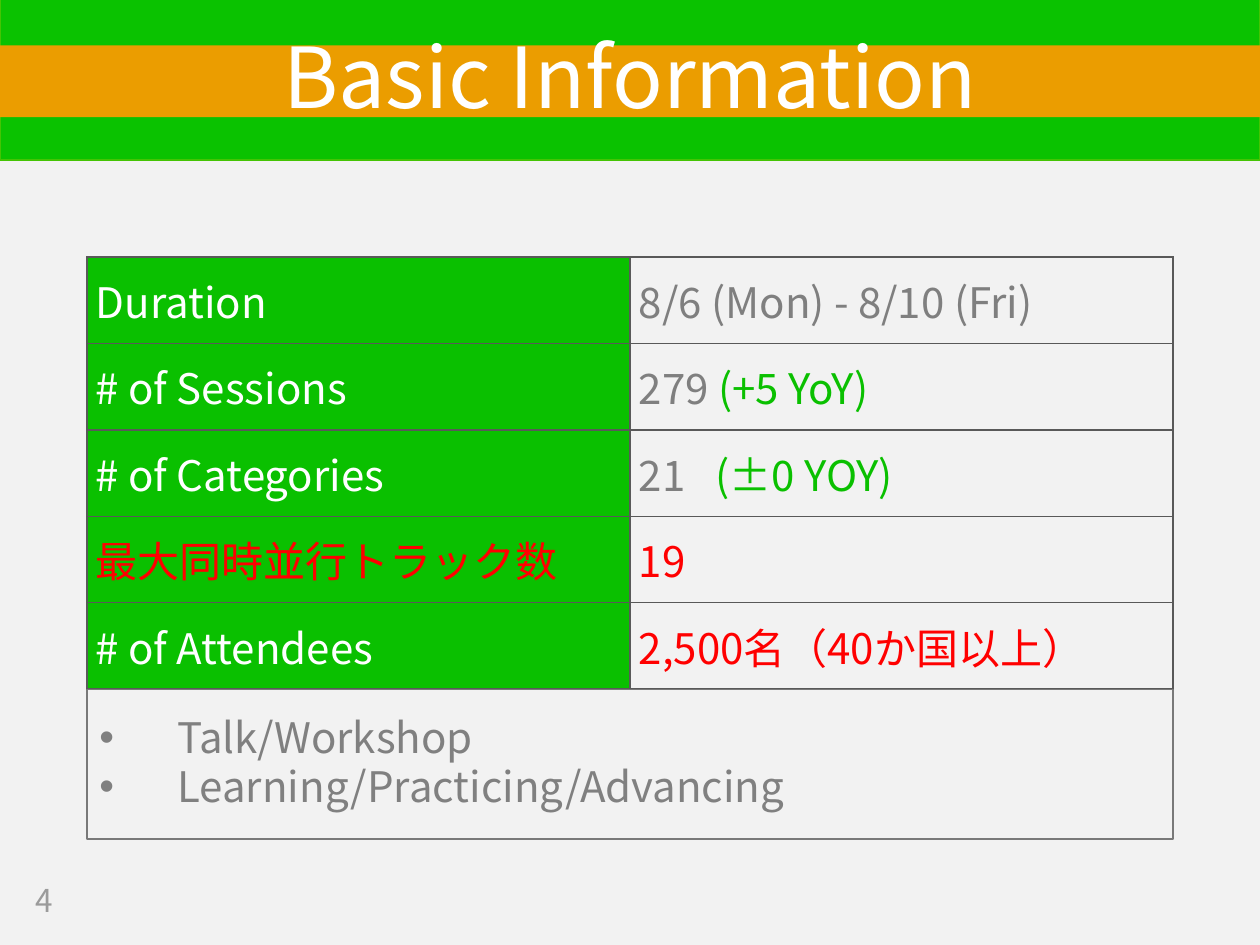
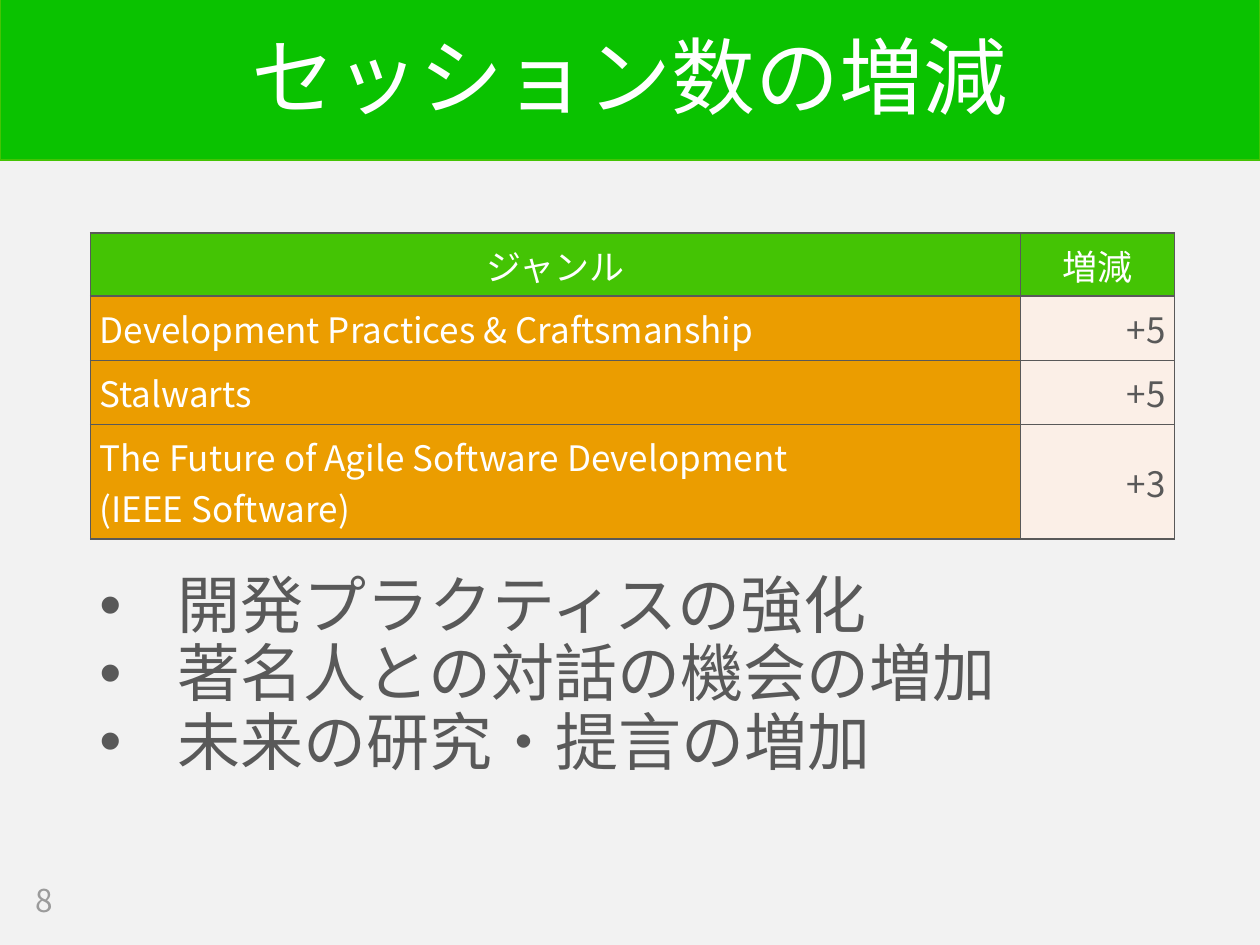
from lxml import etree
from pptx import Presentation
from pptx.dml.color import RGBColor
from pptx.enum.shapes import MSO_SHAPE
from pptx.enum.text import MSO_ANCHOR, PP_ALIGN
from pptx.oxml.ns import qn
from pptx.util import Inches, Pt

RECTANGLE = MSO_SHAPE.RECTANGLE
MIDDLE = MSO_ANCHOR.MIDDLE
LEFT, CENTER, RIGHT = PP_ALIGN.LEFT, PP_ALIGN.CENTER, PP_ALIGN.RIGHT

FONT = "Noto Sans CJK JP"
BACKGROUND = "F2F2F2"
BAND_GREEN, LIGHT_GREEN, CELL_GREEN = "0AC200", "44C404", "0AC000"
ORANGE, PEACH, RED, WHITE = "EB9D00", "FBEFE7", "FF0000", "FFFFFF"
DARK_GRAY, TEXT_GRAY, PAGE_GRAY = "595959", "7F7F7F", "9B9B9B"
BULLET_GRAY, FRAME_GRAY = "808080", "797979"

SLIDE_WIDTH, SLIDE_HEIGHT = 10, 7.5
BAND_BOX = (0, -0.01, SLIDE_WIDTH, 1.28)
TITLE_BOX = (0, 0.36, SLIDE_WIDTH, 0.57)
PAGE_BOX = (0.18, 6.95, 0.79, 0.39)
BULLET_INDENT = 0.62
CATEGORY_TAB = 0.61

# Label, label colour, runs of the value
FACTS = [
    ("Duration", WHITE, [("8/6 (Mon) - 8/10 (Fri)", TEXT_GRAY)]),
    ("# of Sessions", WHITE, [("279 ", TEXT_GRAY), ("(+5 YoY)", CELL_GREEN)]),
    ("# of Categories", WHITE, [("21\t", TEXT_GRAY), ("(±0 YOY)", CELL_GREEN)]),
    ("最大同時並行トラック数", RED, [("19", RED)]),
    ("# of Attendees", WHITE, [("2,500名（40か国以上）", RED)]),
]
SESSION_KINDS = ["Talk/Workshop", "Learning/Practicing/Advancing"]

GENRE_HEADER = ("ジャンル", "増減")
GENRE_CHANGES = [
    ("Development Practices & Craftsmanship", "+5"),
    ("Stalwarts", "+5"),
    ("The Future of Agile Software Development\n(IEEE Software)", "+3"),
]
FINDINGS = ["開発プラクティスの強化", "著名人との対話の機会の増加", "未来の研究・提言の増加"]


def color(hex_value):
    return RGBColor.from_string(hex_value)


def inches(box):
    return [Inches(length) for length in box]


def format_run(run, size, hex_value):
    run.font.size = Pt(size)
    run.font.name = FONT
    run.font.color.rgb = color(hex_value)
    east_asian = etree.SubElement(run.font._element, qn("a:ea"))
    east_asian.set("typeface", FONT)


def format_text(text_frame, size, hex_value, alignment=LEFT, line_spacing=1.0):
    for paragraph in text_frame.paragraphs:
        paragraph.alignment = alignment
        paragraph.line_spacing = line_spacing
        for run in paragraph.runs:
            format_run(run, size, hex_value)


def add_rectangle(slide, box, fill=None, line=None, line_width=1):
    shape = slide.shapes.add_shape(RECTANGLE, *inches(box))
    shape.shadow.inherit = False
    if fill:
        shape.fill.solid()
        shape.fill.fore_color.rgb = color(fill)
    else:
        shape.fill.background()
    if line:
        shape.line.color.rgb = color(line)
        shape.line.width = Pt(line_width)
    else:
        shape.line.fill.background()
    shape.text_frame.word_wrap = True
    shape.text_frame.vertical_anchor = MIDDLE
    return shape


def add_text(slide, box, text, size, hex_value, alignment=LEFT, line_spacing=1.0):
    text_frame = slide.shapes.add_textbox(*inches(box)).text_frame
    text_frame.word_wrap = True
    text_frame.vertical_anchor = MIDDLE
    text_frame.text = text
    format_text(text_frame, size, hex_value, alignment, line_spacing)


def add_bullets(slide, box, lines, size, hex_value, gap=0, frame=None):
    text_frame = add_rectangle(slide, box, line=frame, line_width=0.75).text_frame
    text_frame.text = "\n".join(lines)
    for index, paragraph in enumerate(text_frame.paragraphs):
        if index and gap:
            paragraph.space_before = Pt(gap)
        properties = paragraph._p.get_or_add_pPr()
        properties.set("marL", str(Inches(BULLET_INDENT)))
        properties.set("indent", str(-Inches(BULLET_INDENT)))
        etree.SubElement(properties, qn("a:buFont")).set("typeface", "Arial")
        etree.SubElement(properties, qn("a:buChar")).set("char", "•")
    format_text(text_frame, size, hex_value, line_spacing=0.9)


def start_slide(presentation, title, page, title_fill=None):
    """Add a slide with its background, band, title and page number."""
    slide = presentation.slides.add_slide(presentation.slide_layouts[6])
    slide.background.fill.solid()
    slide.background.fill.fore_color.rgb = color(BACKGROUND)
    add_rectangle(slide, BAND_BOX, BAND_GREEN, LIGHT_GREEN)
    if title_fill:
        add_rectangle(slide, TITLE_BOX, title_fill)
    add_text(slide, TITLE_BOX, title, 48, WHITE, CENTER, 0.9)
    add_text(slide, PAGE_BOX, page, 18, PAGE_GRAY)
    return slide


def add_grid(slide, left, top, column_widths, row_heights):
    """Add an unstyled table with the given column widths and row heights."""
    box = (left, top, sum(column_widths), sum(row_heights))
    table = slide.shapes.add_table(len(row_heights), len(column_widths), *inches(box)).table
    table.first_row = table.horz_banding = False
    for column, width in zip(table.columns, column_widths):
        column.width = Inches(width)
    for row, height in zip(table.rows, row_heights):
        row.height = Inches(height)
    return table


def fill_cell(cell, runs, size, fill=None, alignment=LEFT):
    """Write coloured runs into a cell; a newline starts a paragraph."""
    cell.vertical_anchor = MIDDLE
    cell.margin_left = cell.margin_right = Inches(0.07)
    cell.margin_top = cell.margin_bottom = Inches(0.05)
    paragraph = cell.text_frame.paragraphs[0]
    for text, hex_value in runs:
        for index, line in enumerate(text.split("\n")):
            if index:
                paragraph = cell.text_frame.add_paragraph()
            paragraph.alignment = alignment
            run = paragraph.add_run()
            run.text = line
            format_run(run, size, hex_value)
            if "\t" in line:
                tabs = etree.SubElement(paragraph._p.get_or_add_pPr(), qn("a:tabLst"))
                etree.SubElement(tabs, qn("a:tab"), pos=str(Inches(CATEGORY_TAB)), algn="l")
    properties = cell._tc.get_or_add_tcPr()
    for side in ("a:lnL", "a:lnR", "a:lnT", "a:lnB"):
        border = etree.SubElement(properties, qn(side), w=str(Pt(1)))
        solid = etree.SubElement(border, qn("a:solidFill"))
        etree.SubElement(solid, qn("a:srgbClr"), val=DARK_GRAY)
    if fill:
        cell.fill.solid()
        cell.fill.fore_color.rgb = color(fill)
    else:
        cell.fill.background()


def build_basic_information(presentation):
    slide = start_slide(presentation, "Basic Information", "4", ORANGE)
    table = add_grid(slide, 0.69, 2.04, [4.31] * 2, [3.43 / len(FACTS)] * len(FACTS))
    for row, (label, label_color, value_runs) in enumerate(FACTS):
        fill_cell(table.cell(row, 0), [(label, label_color)], 24, CELL_GREEN)
        fill_cell(table.cell(row, 1), value_runs, 24)
    add_bullets(slide, (0.69, 5.47, 8.62, 1.19), SESSION_KINDS, 24, BULLET_GRAY,
                gap=2, frame=FRAME_GRAY)


def build_session_changes(presentation):
    slide = start_slide(presentation, "セッション数の増減", "8")
    add_bullets(slide, (0.69, 4.07, 8.62, 2.6), FINDINGS, 36, DARK_GRAY)
    table = add_grid(slide, 0.72, 1.85, [7.38, 1.22], [0.5, 0.51, 0.51, 0.91])
    for column, heading in enumerate(GENRE_HEADER):
        fill_cell(table.cell(0, column), [(heading, WHITE)], 20, LIGHT_GREEN, CENTER)
    for row, (genre, change) in enumerate(GENRE_CHANGES, start=1):
        fill_cell(table.cell(row, 0), [(genre, WHITE)], 20, ORANGE)
        fill_cell(table.cell(row, 1), [(change, DARK_GRAY)], 20, PEACH, RIGHT)


def main():
    presentation = Presentation()
    presentation.slide_width = Inches(SLIDE_WIDTH)
    presentation.slide_height = Inches(SLIDE_HEIGHT)
    build_basic_information(presentation)
    build_session_changes(presentation)
    presentation.save("out.pptx")


if __name__ == "__main__":
    main()
